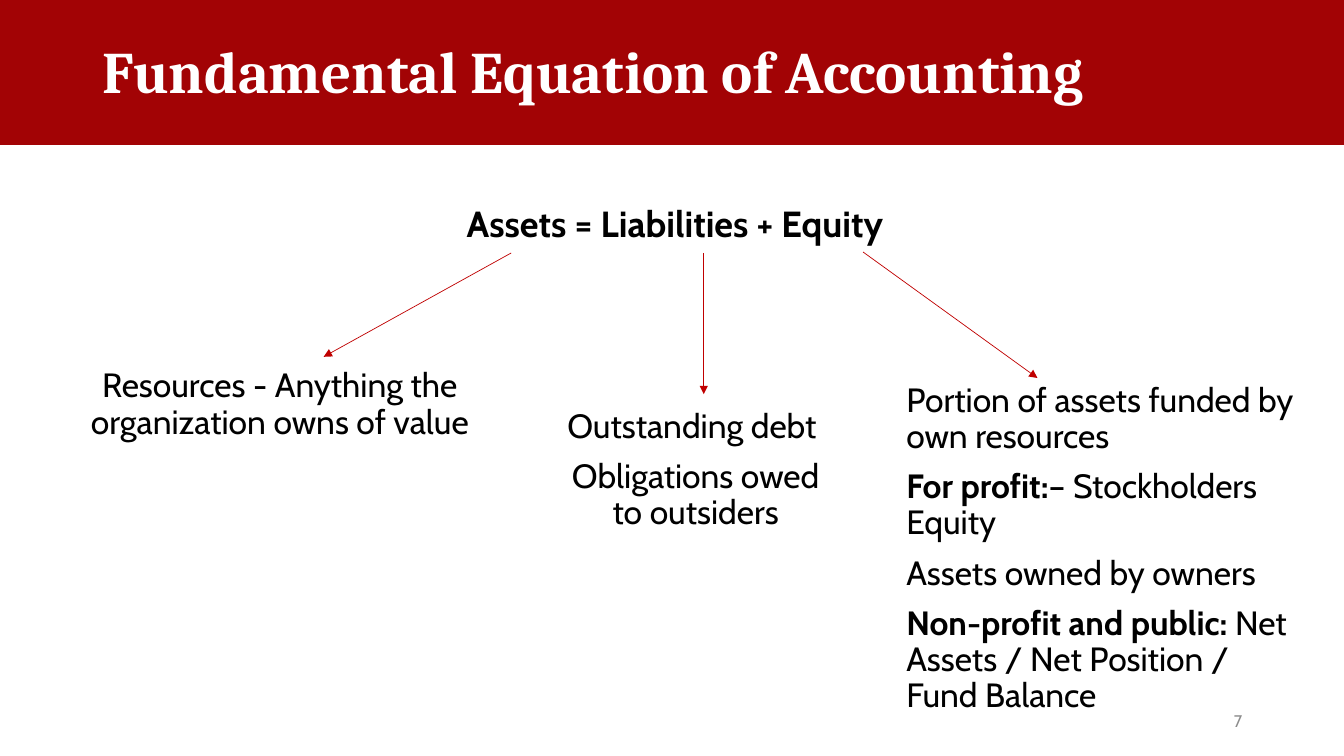
from lxml import etree
from pptx import Presentation, util as u
from pptx.dml.color import RGBColor
from pptx.enum import shapes, text
from pptx.oxml.ns import qn

RED, BANNER, BLACK, WHITE, GREY = "C00000", "A20305", "000000", "FFFFFF", "8C8C8C"
LEFT, CENTER, RIGHT = text.PP_ALIGN.LEFT, text.PP_ALIGN.CENTER, text.PP_ALIGN.RIGHT
TOP, MIDDLE = text.MSO_ANCHOR.TOP, text.MSO_ANCHOR.MIDDLE


def color(value):
    return RGBColor.from_string(value)


def add_text(slide, box, paragraphs, size=24, font="Cabin", fill=BLACK,
             align=LEFT, anchor=TOP, spacing=0.9):
    shape = slide.shapes.add_textbox(*map(u.Inches, box))
    frame = shape.text_frame
    frame.word_wrap = True
    frame.vertical_anchor = anchor
    for index, runs in enumerate(paragraphs):
        paragraph = frame.paragraphs[0] if index == 0 else frame.add_paragraph()
        paragraph.alignment = align
        paragraph.line_spacing = spacing
        paragraph.space_before = u.Pt(10 if index else 0)
        for words, bold in runs:
            run = paragraph.add_run()
            run.text = words
            run.font.name = font
            run.font.size = u.Pt(size)
            run.font.bold = bold
            run.font.color.rgb = color(fill)


def add_arrow(slide, start, end):
    connector = slide.shapes.add_connector(
        shapes.MSO_CONNECTOR.STRAIGHT, *map(u.Inches, start + end))
    connector.line.color.rgb = color(RED)
    connector.line.width = u.Pt(0.5)
    etree.SubElement(connector.line._get_or_add_ln(), qn("a:tailEnd"), type="triangle")
    etree.SubElement(connector._element.spPr, qn("a:effectLst"))


def add_banner(slide, box, title):
    left, top, width, height = box
    shape = slide.shapes.add_shape(shapes.MSO_SHAPE.RECTANGLE, *map(u.Inches, box))
    shape.shadow.inherit = False
    shape.fill.solid()
    shape.fill.fore_color.rgb = color(BANNER)
    shape.line.color.rgb = color(BANNER)
    shape.line.width = u.Pt(1)
    add_text(slide, (left + 0.92, top + 0.03, width - 1.83, height), [[(title, True)]],
             size=42, font="Cambria", fill=WHITE, anchor=MIDDLE)


def add_term(slide, box, start, end, paragraphs, align):
    add_arrow(slide, start, end)
    add_text(slide, box, paragraphs, align=align)


def add_equation(slide, box):
    add_text(slide, box, [[("Assets = Liabilities + Equity", True)]], size=25.9)
    assets = [[("Resources - Anything the organization owns of value", False)]]
    liabilities = [[("Outstanding debt ", False)],
                   [("Obligations owed to outsiders", False)]]
    equity = [
        [("Portion of assets funded by own resources", False)],
        [("For profit:", True), ("– Stockholders Equity", False)],
        [("Assets owned by owners", False)],
        [("Non-profit and public:", True),
         (" Net Assets / Net Position / Fund Balance", False)],
    ]
    terms = [
        ((-3.98, 1.61, 4.45, 1.82), (0.54, 0.51), (-1.32, 1.54), assets, CENTER),
        ((0.9, 2.01, 2.94, 1.82), (2.45, 0.51), (2.45, 1.91), liabilities, CENTER),
        ((4.36, 1.75, 4.12, 3.19), (4.03, 0.5), (5.76, 1.75), equity, LEFT),
    ]
    left, top = box[:2]
    for (x, y, width, height), start, end, paragraphs, align in terms:
        add_term(slide, (left + x, top + y, width, height),
                 (left + start[0], top + start[1]), (left + end[0], top + end[1]),
                 paragraphs, align)


def main():
    presentation = Presentation()
    presentation.slide_width = u.Inches(13.33)
    presentation.slide_height = u.Inches(7.5)
    slide = presentation.slides.add_slide(presentation.slide_layouts[6])
    add_banner(slide, (0, -0.02, 13.33, 1.45), "Fundamental Equation of Accounting")
    add_equation(slide, (4.53, 2, 4.57, 0.5))
    add_text(slide, (9.42, 6.95, 3, 0.4), [[("7", False)]], size=12, fill=GREY,
             align=RIGHT, anchor=MIDDLE, spacing=1.0)
    presentation.save("out.pptx")


if __name__ == "__main__":
    main()
